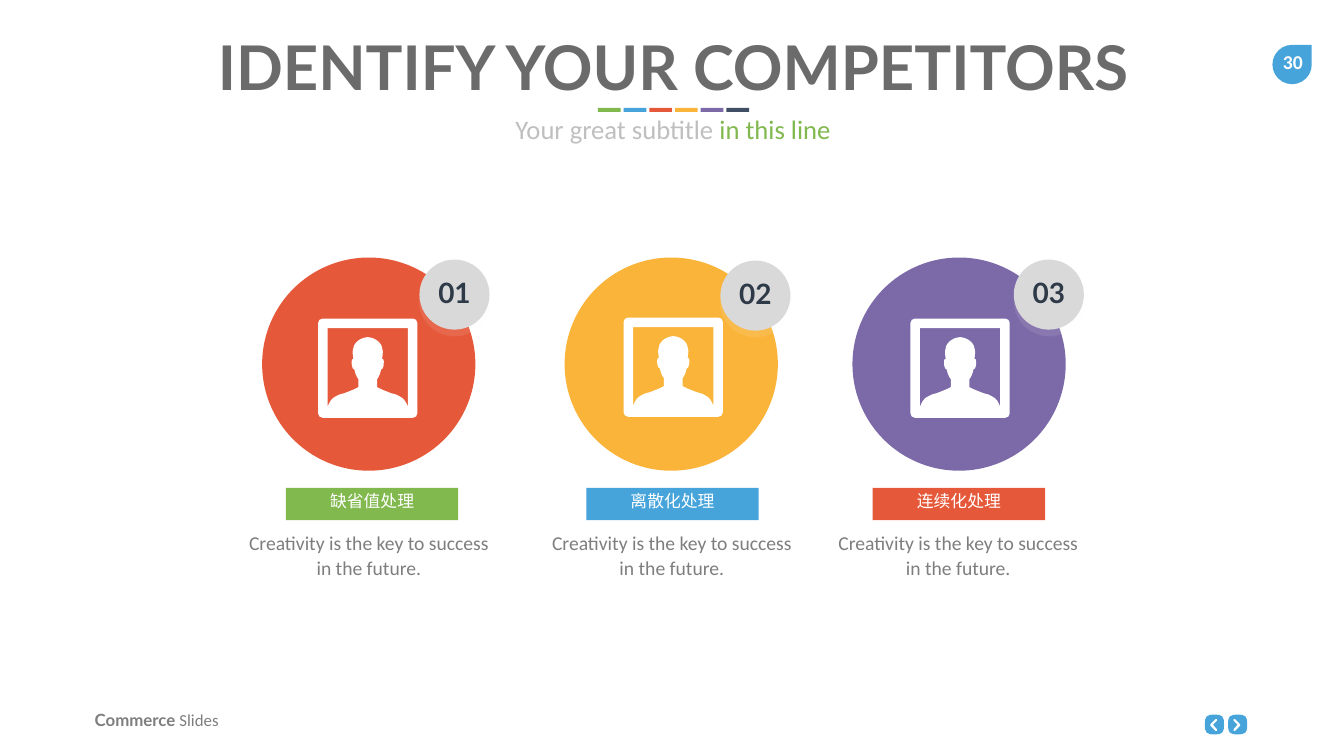
import dataclasses
import typing

import lxml.etree
import pptx
import pptx.dml.color
import pptx.enum.shapes
import pptx.enum.text
import pptx.oxml
import pptx.oxml.ns
import pptx.util

Inches = pptx.util.Inches
SHAPES = pptx.enum.shapes.MSO_SHAPE
ALIGN = pptx.enum.text.PP_ALIGN
ANCHOR = pptx.enum.text.MSO_ANCHOR
Point = tuple[float, float]
Margins = tuple[float, float, float, float]
Outline = list[tuple[float, ...]]


@dataclasses.dataclass(frozen=True)
class Theme:
    green: str = "81B94F"
    blue: str = "46A4DB"
    red: str = "E5583A"
    yellow: str = "F9B439"
    purple: str = "7C69A8"
    navy: str = "404F64"
    white: str = "FFFFFF"
    title: str = "6B6B6B"
    subtitle: str = "BFBFBF"
    body: str = "7E7E7E"
    badge: str = "D9D9D9"
    number: str = "2F3A49"
    heading_font: str = "Lato"
    body_font: str = "Calibri"
    title_size: int = 88
    number_size: int = 40
    subtitle_size: int = 38
    body_size: int = 28
    small_size: int = 24


THEME = Theme()


class Span(typing.NamedTuple):
    text: str
    size: int
    color: str
    font: str = THEME.body_font
    bold: bool = False


class Box(typing.NamedTuple):
    left: float
    top: float
    width: float
    height: float


@dataclasses.dataclass(frozen=True)
class Competitor:
    number: str
    label: str
    circle_color: str
    label_color: str
    circle_left: float
    badge_at: Point
    icon_at: Point
    label_left: float
    caption_left: float


COMPETITORS = [
    Competitor("02", "离散化处理", THEME.yellow, THEME.blue, 11.2, (14.29, 5.17), (12.37, 6.3), 11.63, 10.83),
    Competitor("03", "连续化处理", THEME.purple, THEME.red, 16.91, (20.11, 5.15), (18.06, 6.32), 17.31, 16.51),
    Competitor("01", "缺省值处理", THEME.red, THEME.green, 5.2, (8.32, 5.15), (6.31, 6.32), 5.67, 4.82),
]

# Outline steps: two numbers are a straight line, six are a Bezier curve.
ICON_SIZE = 1.97
FRAME_HALF = [(0.985, 1.97), (0.09, 1.97), (0.04, 1.97, 0, 1.93, 0, 1.88),
              (0, 0.09), (0, 0.04, 0.04, 0, 0.09, 0), (0.985, 0)]
PERSON_HALF = [(0.19, 0.19), (0.19, 1.75), (0.22, 1.67, 0.26, 1.58, 0.36, 1.54),
               (0.49, 1.47, 0.44, 1.52, 0.6, 1.45), (0.76, 1.39, 0.8, 1.36, 0.8, 1.36),
               (0.8, 1.2), (0.8, 1.2, 0.75, 1.16, 0.72, 1.01),
               (0.69, 1.02, 0.68, 0.97, 0.67, 0.93), (0.67, 0.9, 0.65, 0.79, 0.7, 0.8),
               (0.69, 0.73, 0.68, 0.66, 0.69, 0.63), (0.69, 0.51, 0.81, 0.38, 0.985, 0.37)]
BUTTON_WIDTH = 0.38
BUTTON_HALF = [(0.19, 0.39), (0.03, 0.39, 0, 0.36, 0, 0.195), (0, 0.03, 0.03, 0, 0.19, 0)]
CHEVRON_WIDTH = 0.14
CHEVRON = [(0.13, 0.21), (0.14, 0.22, 0.14, 0.23, 0.13, 0.24), (0.12, 0.24, 0.11, 0.24, 0.1, 0.24),
           (0, 0.14), (0, 0.13, 0, 0.12, 0, 0.11), (0.1, 0.01),
           (0.11, 0, 0.12, 0, 0.13, 0.01), (0.14, 0.02, 0.14, 0.03, 0.13, 0.04), (0.05, 0.12)]


def mirrored(steps: Outline, width: float) -> Outline:
    """Flip an outline left to right and walk it backwards."""
    ends = [step[-2:] for step in steps]
    path = [ends[-1]]
    for step, previous in reversed(list(zip(steps[1:], ends))):
        path.append(step[2:4] + step[:2] + previous if len(step) == 6 else previous)
    return [tuple(v if i % 2 else width - v for i, v in enumerate(step)) for step in path]


def symmetric(half: Outline, width: float) -> Outline:
    return half + mirrored(half, width)[1:]


def paint(shape, color: str) -> None:
    shape.fill.solid()
    shape.fill.fore_color.rgb = pptx.dml.color.RGBColor.from_string(color)
    shape.line.fill.background()
    shape.shadow.inherit = False


def bend(shape, contours: list[Outline]) -> None:
    """Join the three lines that stand for each curve into one Bezier segment."""
    path = next(shape._element.iter(pptx.oxml.ns.qn("a:path")))
    nodes = iter(list(path))
    for contour in contours:
        next(nodes)
        for step in contour[1:]:
            node = next(nodes)
            if len(step) == 6:
                node.tag = pptx.oxml.ns.qn("a:cubicBezTo")
                for extra in (next(nodes), next(nodes)):
                    node.append(extra[0])
                    path.remove(extra)
        next(nodes)


def add_outline(slide, contours: list[Outline], left: float, top: float, color: str) -> None:
    paths = [[(Inches(step[i]), Inches(step[i + 1])) for step in contour for i in range(0, len(step), 2)]
             for contour in contours]
    builder = slide.shapes.build_freeform(*paths[0][0], scale=1.0)
    builder.add_line_segments(paths[0][1:], close=True)
    for path in paths[1:]:
        builder.move_to(*path[0])
        builder.add_line_segments(path[1:], close=True)
    shape = builder.convert_to_shape(Inches(left), Inches(top))
    bend(shape, contours)
    paint(shape, color)


def add_shape(slide, kind: SHAPES, box: Box, color: str):
    shape = slide.shapes.add_shape(kind, *map(Inches, box))
    paint(shape, color)
    return shape


def write(shape, spans: list[Span], align: ALIGN = ALIGN.CENTER, anchor: ANCHOR = ANCHOR.TOP,
          margins: Margins = (0.1, 0.05, 0.1, 0.05), wrap: bool = True, spacing: float = 1.0) -> None:
    frame = shape.text_frame
    frame.word_wrap = wrap
    frame.auto_size = pptx.enum.text.MSO_AUTO_SIZE.NONE
    frame.vertical_anchor = anchor
    frame.margin_left, frame.margin_top, frame.margin_right, frame.margin_bottom = map(Inches, margins)
    para = frame.paragraphs[0]
    para.alignment = align
    para.line_spacing = spacing
    for span in spans:
        run = para.add_run()
        run.text = span.text
        run.font.size = pptx.util.Pt(span.size)
        run.font.name = span.font
        run.font.bold = span.bold
        run.font.color.rgb = pptx.dml.color.RGBColor.from_string(span.color)


def add_text(slide, box: Box, spans: list[Span], **layout) -> None:
    write(slide.shapes.add_textbox(*map(Inches, box)), spans, **layout)


def add_soft_shadow(shape) -> None:
    """Drop a faint white shadow straight below the shape."""
    effects = shape._element.spPr.find(pptx.oxml.ns.qn("a:effectLst"))
    shadow = lxml.etree.SubElement(effects, pptx.oxml.ns.qn("a:outerShdw"), blurRad="12700",
                                   dist="114300", dir="5400000", algn="t", rotWithShape="0")
    color = lxml.etree.SubElement(shadow, pptx.oxml.ns.qn("a:srgbClr"), val=THEME.white)
    lxml.etree.SubElement(color, pptx.oxml.ns.qn("a:alpha"), val="9000")


def add_header(slide) -> None:
    title = slide.shapes.title
    title.left, title.top, title.width, title.height = map(Inches, Box(1.9, 0.53, 22.9, 1.58))
    write(title, [Span("IDENTIFY YOUR COMPETITORS", THEME.title_size, THEME.title, THEME.heading_font, True)])
    bar_colors = (THEME.green, THEME.blue, THEME.red, THEME.yellow, THEME.purple, THEME.navy)
    for index, color in enumerate(bar_colors):
        add_shape(slide, SHAPES.RECTANGLE, Box(11.86 + 0.51 * index, 2.14, 0.45, 0.08), color)
    add_text(slide, Box(1.9, 2.2, 22.9, 0.74),
             [Span("Your great subtitle ", THEME.subtitle_size, THEME.subtitle),
              Span("in this line", THEME.subtitle_size, THEME.green)])


def add_page_furniture(slide) -> None:
    buttons = [(23.9, 24.01, CHEVRON), (24.36, 24.46, mirrored(CHEVRON, CHEVRON_WIDTH))]
    for button_left, arrow_left, arrow in buttons:
        add_outline(slide, [symmetric(BUTTON_HALF, BUTTON_WIDTH)], button_left, 14.18, THEME.blue)
        add_outline(slide, [arrow], arrow_left, 14.26, THEME.white)
    add_shape(slide, SHAPES.TEAR, Box(25.24, 0.89, 0.78, 0.78), THEME.blue)
    add_text(slide, Box(25.21, 0.9, 0.87, 0.67), [Span("30", THEME.body_size, THEME.white, bold=True)],
             margins=(0.2, 0.1, 0.2, 0.1), wrap=False)
    add_text(slide, Box(1.78, 14.04, 4, 0.5),
             [Span("Commerce ", THEME.small_size, THEME.body, THEME.heading_font, True),
              Span("Slides", THEME.small_size, THEME.body)], align=ALIGN.LEFT)


def add_competitor(slide, item: Competitor) -> None:
    add_shape(slide, SHAPES.OVAL, Box(item.circle_left, 5.11, 4.23, 4.23), item.circle_color)
    badge = add_shape(slide, SHAPES.OVAL, Box(*item.badge_at, 1.39, 1.39), THEME.badge)
    add_soft_shadow(badge)
    write(badge, [Span(item.number, THEME.number_size, THEME.number, THEME.heading_font, True)],
          anchor=ANCHOR.MIDDLE, margins=(0, 0, 0, 0.1))
    label = add_shape(slide, SHAPES.RECTANGLE, Box(item.label_left, 9.68, 3.42, 0.64), item.label_color)
    write(label, [Span(item.label, THEME.small_size, THEME.white, THEME.heading_font)],
          anchor=ANCHOR.MIDDLE, margins=(0.27, 0.13, 0.27, 0.24))
    portrait = [symmetric(half, ICON_SIZE) for half in (FRAME_HALF, PERSON_HALF)]
    add_outline(slide, portrait, *item.icon_at, THEME.white)
    add_text(slide, Box(item.caption_left, 10.43, 4.99, 1.13),
             [Span("Creativity is the key to success in the future.", THEME.body_size, THEME.body)],
             spacing=1.1)


def main() -> None:
    deck = pptx.Presentation()
    deck.slide_width, deck.slide_height = Inches(26.66), Inches(15)
    slide = deck.slides.add_slide(deck.slide_layouts.get_by_name("Title Only"))
    add_page_furniture(slide)
    add_header(slide)
    for item in COMPETITORS:
        add_competitor(slide, item)
    deck.save("out.pptx")


if __name__ == "__main__":
    main()
